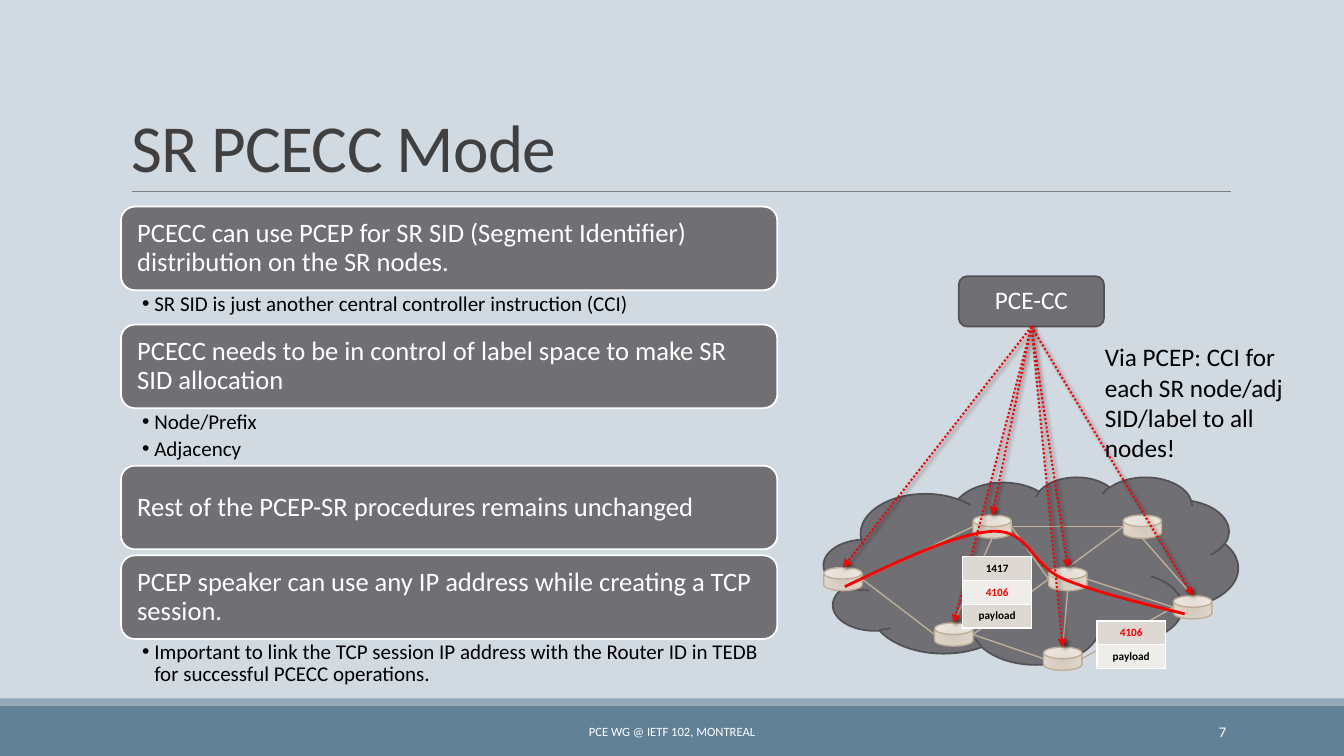
import pptx
import pptx.dml.color
import pptx.enum.dml
import pptx.enum.shapes
import pptx.enum.text
import pptx.oxml
import pptx.oxml.ns
import pptx.util

FONT = "Calibri"
Pt = pptx.util.Pt
SHAPES = pptx.enum.shapes.MSO_SHAPE
ALIGN = pptx.enum.text.PP_ALIGN
ANCHOR = pptx.enum.text.MSO_ANCHOR
NAMESPACE = pptx.oxml.ns.nsdecls("a")

deck = pptx.Presentation()
deck.slide_width = pptx.util.Inches(13.33)
deck.slide_height = pptx.util.Inches(7.5)
ROW = deck.slide_height / 75


def grid(*cells):
    return [round(cell * ROW) for cell in cells]


def colour(code):
    return pptx.dml.color.RGBColor.from_string(code)


slide = deck.slides.add_slide(deck.slide_layouts.get_by_name("Comparison"))
slide.background.fill.solid()
slide.background.fill.fore_color.rgb = colour("D1D9E1")
title, *lists = slide.placeholders
spare = lists.pop()
spare.element.getparent().remove(spare.element)

title.left, title.top, title.width, title.height = grid(12, 3.1, 110, 15.9)
title.text_frame.text = "SR PCECC Mode"
title.text_frame.vertical_anchor = ANCHOR.BOTTOM
title.text_frame.auto_size = pptx.enum.text.MSO_AUTO_SIZE.NONE
heading = title.text_frame.paragraphs[0]
heading.alignment = ALIGN.LEFT
heading.line_spacing = 0.85
heading.font.name, heading.font.size = FONT, Pt(48)
heading.font.color.rgb = colour("404040")
heading.runs[0].font._element.set("spc", "-50")

details = [
    (28.8, 3.4, ["SR SID is just another central controller instruction (CCI)"]),
    (40.5, 5.7, ["Node/Prefix", "Adjacency"]),
    (63.3, 5.2, ["Important to link the TCP session IP address with the Router ID "
                 "in TEDB for successful PCECC operations."]),
]
for detail, (top, height, points) in zip(lists, details):
    detail.left, detail.top, detail.width, detail.height = grid(12, top, 65.1, height)
    frame = detail.text_frame
    frame.text = "\n".join(points)
    frame.vertical_anchor = ANCHOR.TOP
    frame.auto_size = pptx.enum.text.MSO_AUTO_SIZE.NONE
    frame.margin_left, frame.margin_top, frame.margin_right, frame.margin_bottom = grid(
        2.1, 0.3, 1.5, 0.3)
    for point in frame.paragraphs:
        point.line_spacing = 0.9
        point.space_before, point.space_after = Pt(0), Pt(3)
        point.font.name, point.font.size, point.font.bold = FONT, Pt(15), False
        point.font.color.rgb = colour("000000")
        indent, = grid(1.2)
        settings = point._p.get_or_add_pPr()
        settings.set("marL", str(indent))
        settings.set("indent", str(-indent))
        bullet = pptx.oxml.parse_xml(f'<a:buChar {NAMESPACE} char="•"/>')
        settings.insert_element_before(bullet, "a:tabLst", "a:defRPr", "a:extLst")

claims = [
    (20.5, "PCECC can use PCEP for SR SID (Segment Identifier) distribution on the SR nodes."),
    (32.2, "PCECC needs to be in control of label space to make SR SID allocation"),
    (46.2, "Rest of the PCEP-SR procedures remains unchanged"),
    (55.1, "PCEP speaker can use any IP address while creating a TCP session."),
]
panels = [
    (SHAPES.RECTANGLE, (0, 70, 133.3, 5), "618197", None, "", 18, ALIGN.LEFT),
    (SHAPES.RECTANGLE, (0, 69.3, 133.3, 0.7), "92A9B9", None, "", 18, ALIGN.LEFT),
    (SHAPES.CLOUD, (81.7, 47.3, 41.1, 18.6), "6F6F74", "525256", "", 18, ALIGN.LEFT),
    (SHAPES.ROUNDED_RECTANGLE, (95.1, 27.4, 14.4, 5), "6F6F74", "525256",
     "PCE-CC", 18, ALIGN.CENTER),
]
for top, claim in claims:
    panels.append((SHAPES.ROUNDED_RECTANGLE, (12, top, 65.1, 8.3), "6F6F74", "FFFFFF",
                   claim, 19, ALIGN.LEFT))
for preset, box, fill, outline, words, size, align in panels:
    panel = slide.shapes.add_shape(preset, *grid(*box))
    panel.shadow.inherit = False
    panel.fill.solid()
    panel.fill.fore_color.rgb = colour(fill)
    if outline:
        panel.line.color.rgb = colour(outline)
        panel.line.width = Pt(1.25)
    else:
        panel.line.fill.background()
    if words:
        frame = panel.text_frame
        frame.text = words
        frame.word_wrap = True
        frame.vertical_anchor = ANCHOR.MIDDLE
        frame.margin_left, frame.margin_right = grid(1.2, 1.2)
        label = frame.paragraphs[0]
        label.alignment, label.line_spacing = align, 0.9
        label.font.name, label.font.size = FONT, Pt(size)
        label.font.color.rgb = colour("FFFFFF")

routers = {
    "west": (81.7, 56.3), "southwest": (92.7, 61.8), "north": (96.5, 51.1),
    "centre": (104, 56.3), "northeast": (111.4, 51.1), "east": (116.4, 59.1),
    "south": (103.5, 64.2),
}
ports = {"left": (0, 1.15), "right": (3.8, 1.15), "top": (1.9, 0), "bottom": (1.9, 2.3)}
sites = {}
for place, (left, top) in routers.items():
    router = slide.shapes.add_shape(SHAPES.CAN, *grid(left, top, 3.8, 2.3))
    router.adjustments[0] = 0.5
    router.shadow.inherit = False
    router.fill.gradient()
    for stop, shade in zip(router.fill.gradient_stops, ("D3C8BA", "E1D8CC")):
        stop.color.rgb = colour(shade)
    direction = router._element.spPr.find(".//" + pptx.oxml.ns.qn("a:lin"))
    direction.getparent().replace(direction, pptx.oxml.parse_xml(
        f'<a:path {NAMESPACE} path="circle"><a:fillToRect l="100000" t="100000" '
        'r="100000" b="100000"/></a:path>'))
    router.line.color.rgb = colour("BEAE98")
    router.line.width = Pt(1)
    for port, (across, down) in ports.items():
        sites[place, port] = (left + across, top + down)

links = [
    ("west", "right", "north", "left"), ("west", "right", "southwest", "left"),
    ("centre", "left", "southwest", "right"), ("centre", "left", "north", "right"),
    ("north", "bottom", "southwest", "top"), ("centre", "bottom", "south", "top"),
    ("south", "left", "southwest", "right"), ("east", "left", "south", "right"),
    ("east", "left", "centre", "right"), ("northeast", "left", "centre", "top"),
    ("northeast", "left", "north", "right"), ("east", "top", "northeast", "bottom"),
]
lines = [((13.1, 19), (122.1, 19), "808080", 0.5, False)]
for start, leaving, end, entering in links:
    lines.append((sites[start, leaving], sites[end, entering], "BEAE98", 1, False))
for place in routers:
    if place != "northeast":
        lines.append(((102.3, 32.4), sites[place, "top"], "FF0000", 1.5, True))
for start, end, shade, width, instruction in lines:
    line = slide.shapes.add_connector(
        pptx.enum.shapes.MSO_CONNECTOR.STRAIGHT, *grid(*start, *end))
    line.line.color.rgb = colour(shade)
    line.line.width = Pt(width)
    shadow = ""
    if instruction:
        line.line.dash_style = pptx.enum.dml.MSO_LINE.ROUND_DOT
        line.line._get_or_add_ln().append(
            pptx.oxml.parse_xml(f'<a:tailEnd {NAMESPACE} type="triangle"/>'))
        shadow = ('<a:outerShdw blurRad="38100" dist="25400" dir="2700000">'
                  '<a:srgbClr val="000000"><a:alpha val="60000"/></a:srgbClr></a:outerShdw>')
    line._element.spPr.append(
        pptx.oxml.parse_xml(f"<a:effectLst {NAMESPACE}>{shadow}</a:effectLst>"))

bends = [
    ((83.8, 58.2), (89.4, 55.5), (94.9, 52.9), (98.5, 52.7)),
    ((98.5, 52.7), (102.1, 52.6), (102.2, 56), (105.4, 57.4)),
    ((105.4, 57.4), (108.5, 58.7), (113, 59.8), (117.5, 60.9)),
]
STEPS = 16
trail = []
for bend in bends:
    for step in range(1, STEPS + 1):
        t = step / STEPS
        weights = ((1 - t) ** 3, 3 * t * (1 - t) ** 2, 3 * t ** 2 * (1 - t), t ** 3)
        trail.append(grid(*(sum(w * c for w, c in zip(weights, axis)) for axis in zip(*bend))))
outline = slide.shapes.build_freeform(*grid(*bends[0][0]))
outline.add_line_segments(trail, close=False)
route = outline.convert_to_shape()
route.shadow.inherit = False
route.fill.background()
route.line.color.rgb = colour("FF0000")
route.line.width = Pt(2)

captions = [
    ((108.6, 33.4, 21, 13.1), "Via PCEP: CCI for each SR node/adj SID/label to all nodes!",
     18, "000000", ALIGN.LEFT, ANCHOR.TOP),
    ((40.3, 70.6, 52.7, 4), "PCE WG @ IETF 102, MONTREAL", 9, "FFFFFF", ALIGN.CENTER, ANCHOR.MIDDLE),
    ((108.3, 70.6, 14.3, 4), "7", 10.5, "FFFFFF", ALIGN.RIGHT, ANCHOR.MIDDLE),
]
for box, words, size, shade, align, anchor in captions:
    frame = slide.shapes.add_textbox(*grid(*box)).text_frame
    frame.word_wrap = True
    frame.vertical_anchor = anchor
    frame.text = words
    caption = frame.paragraphs[0]
    caption.alignment = align
    caption.font.name, caption.font.size = FONT, Pt(size)
    caption.font.color.rgb = colour(shade)

label_stacks = [(108.8, 61.6, ["4106", "payload"]), (95.5, 55.2, ["1417", "4106", "payload"])]
for left, top, labels in label_stacks:
    stack = slide.shapes.add_table(
        len(labels), 1, *grid(left, top, 6.8, 2.37 * len(labels))).table
    for position, words in enumerate(labels):
        cell = stack.cell(position, 0)
        for side in ("lnL", "lnR", "lnT", "lnB"):
            cell._tc.get_or_add_tcPr().append(pptx.oxml.parse_xml(
                f'<a:{side} {NAMESPACE} w="12700"><a:solidFill><a:srgbClr val="FFFFFF"/>'
                f"</a:solidFill></a:{side}>"))
        cell.fill.solid()
        cell.fill.fore_color.rgb = colour(("DED8D3", "EFEDEA")[position % 2])
        cell.text = words
        entry = cell.text_frame.paragraphs[0]
        entry.alignment = ALIGN.CENTER
        entry.font.name, entry.font.size, entry.font.bold = FONT, Pt(8), True
        entry.font.color.rgb = colour("FF0000" if words == "4106" else "000000")

deck.save("out.pptx")
